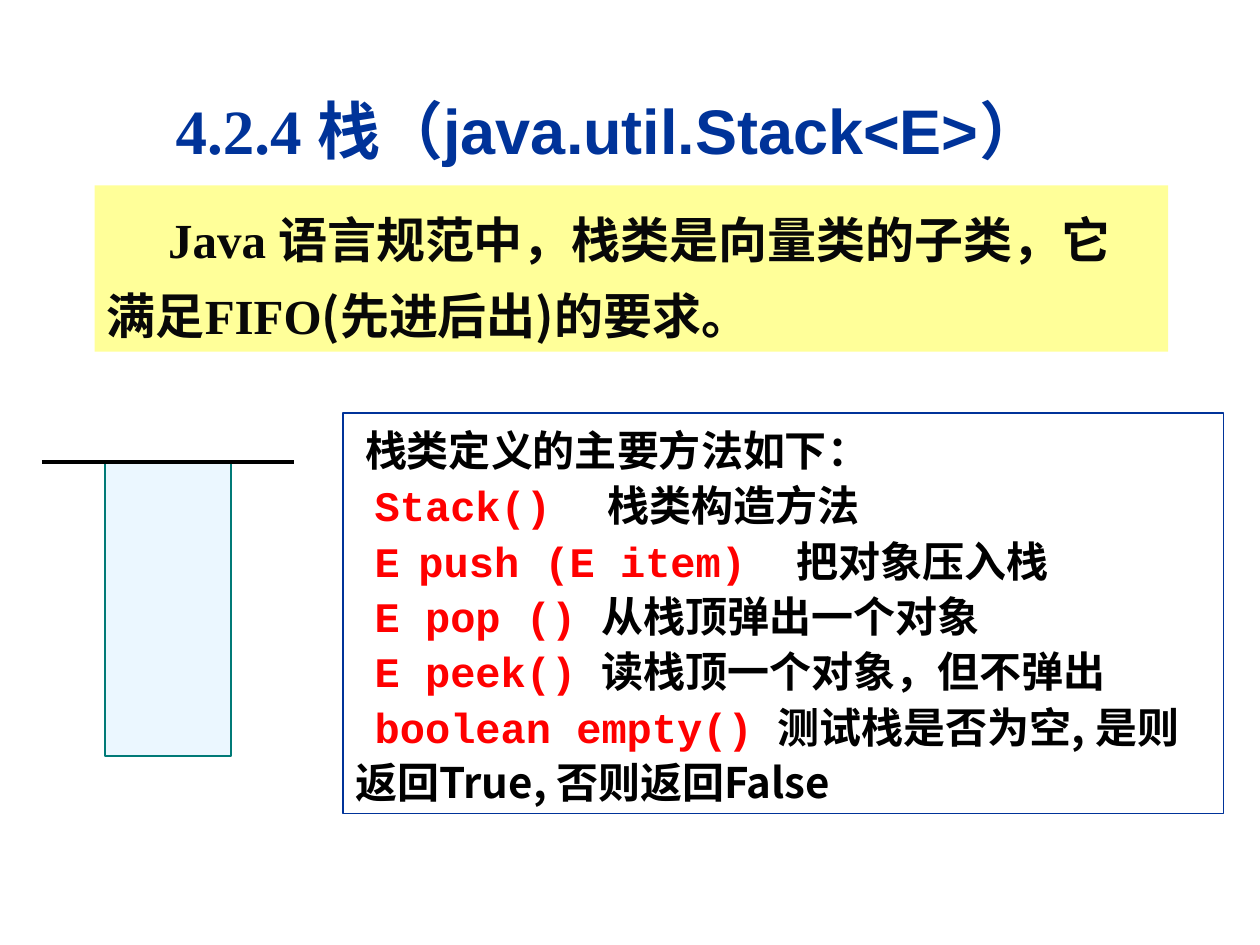
"""Build the slide on the stack class java.util.Stack<E>."""
from pptx import Presentation
from pptx.dml.color import RGBColor
from pptx.enum.shapes import MSO_CONNECTOR as Link, MSO_SHAPE as Form
from pptx.enum.text import MSO_ANCHOR as Anchor, PP_ALIGN as Align
from pptx.oxml.ns import qn
from pptx.util import Pt

BLUE = RGBColor(0x00, 0x33, 0x99)
BLACK = RGBColor(0x00, 0x00, 0x00)
INK = RGBColor(0x08, 0x08, 0x08)
RED = RGBColor(0xFF, 0x00, 0x00)
YELLOW = RGBColor(0xFF, 0xFF, 0x99)
PALE = RGBColor(0xEB, 0xF7, 0xFF)
TEAL = RGBColor(0x00, 0x7A, 0x77)

HAN = "Noto Sans CJK SC"
SERIF = "Times New Roman"
SANS = "Arial"
MONO = "Courier New"

METHODS = [
    ("Stack()\t", "栈类构造方法", [190]),
    ("E\tpush (E item)\t", "把对象压入栈", [54, 263]),
    ("E pop () ", "从栈顶弹出一个对象", []),
    ("E peek() ", "读栈顶一个对象，但不弹出", []),
    ("boolean empty() ", "测试栈是否为空, 是则返回True, 否则返回False", []),
]


def add_box(slide, area, fill=None, line=None):
    """Add a rectangle with an optional fill and outline."""
    box = slide.shapes.add_shape(Form.RECTANGLE, *map(Pt, area))
    box.shadow.inherit = False
    if fill is None:
        box.fill.background()
    else:
        box.fill.solid()
        box.fill.fore_color.rgb = fill
    if line is None:
        box.line.fill.background()
    else:
        box.line.color.rgb = line
        box.line.width = Pt(0.75)
    box.text_frame.word_wrap = True
    box.text_frame.vertical_anchor = Anchor.TOP
    return box


def add_rule(slide, left, top, width):
    """Add a horizontal black line without a shadow."""
    rule = slide.shapes.add_connector(
        Link.STRAIGHT, Pt(left), Pt(top), Pt(left + width), Pt(top))
    rule.line.color.rgb = BLACK
    rule.line.width = Pt(2)
    props = rule._element.spPr
    props.append(props.makeelement(qn("a:effectLst"), {}))


def write(para, parts, size, align=Align.LEFT, space=1.0, indent=0, stops=()):
    """Fill a paragraph with bold runs given as text, font and colour."""
    props = para._p.get_or_add_pPr()
    props.set("marL", "0")
    props.set("indent", str(Pt(indent)))
    para.alignment = align
    para.line_spacing = space
    if stops:
        tabs = props.makeelement(qn("a:tabLst"), {})
        for stop in stops:
            tabs.append(tabs.makeelement(
                qn("a:tab"), {"pos": str(Pt(stop)), "algn": "l"}))
        props.append(tabs)
    para.font.size = Pt(size)
    para.font.bold = True
    for text, face, color in parts:
        run = para.add_run()
        run.text = text
        run.font.name = face
        run.font.color.rgb = color
        style = run.font._element
        style.append(style.makeelement(qn("a:ea"), {"typeface": HAN}))


def add_title(slide):
    """Add the heading of the slide."""
    box = slide.shapes.add_textbox(*map(Pt, (24, 42, 648, 57)))
    frame = box.text_frame
    frame.word_wrap = True
    frame.vertical_anchor = Anchor.BOTTOM
    parts = [("4.2.4 栈", SERIF, BLUE), ("（java.util.Stack<E>）", SANS, BLUE)]
    write(frame.paragraphs[0], parts, 36, Align.CENTER)


def add_methods(slide):
    """Add the framed list of stack methods."""
    frame = add_box(slide, (196, 236, 503, 229), line=BLUE).text_frame
    head = [("栈类定义的主要方法如下：", HAN, BLACK)]
    write(frame.paragraphs[0], head, 24, space=1.1, indent=5.5)
    for code, note, stops in METHODS:
        parts = [(code, MONO, RED), (note, HAN, BLACK)]
        write(frame.add_paragraph(), parts, 24, space=1.1, indent=11, stops=stops)


def add_intro(slide):
    """Add the yellow statement about the stack class."""
    frame = add_box(slide, (54, 106, 613.5, 95), fill=YELLOW).text_frame
    parts = [
        ("Java ", SERIF, INK),
        ("语言规范中，栈类是向量类的子类，它满足", HAN, INK),
        ("FIFO", SERIF, INK),
        ("(先进后出)的要求。", HAN, INK),
    ]
    write(frame.paragraphs[0], parts, 28, space=1.3, indent=35)


def main():
    """Build and save the slide."""
    deck = Presentation()
    deck.slide_width, deck.slide_height = Pt(720), Pt(540)
    slide = deck.slides.add_slide(deck.slide_layouts[6])
    add_title(slide)
    add_methods(slide)
    add_intro(slide)
    add_box(slide, (60, 264, 72, 168), PALE, TEAL)
    add_rule(slide, 24, 264, 144)
    deck.save("out.pptx")


if __name__ == "__main__":
    main()
